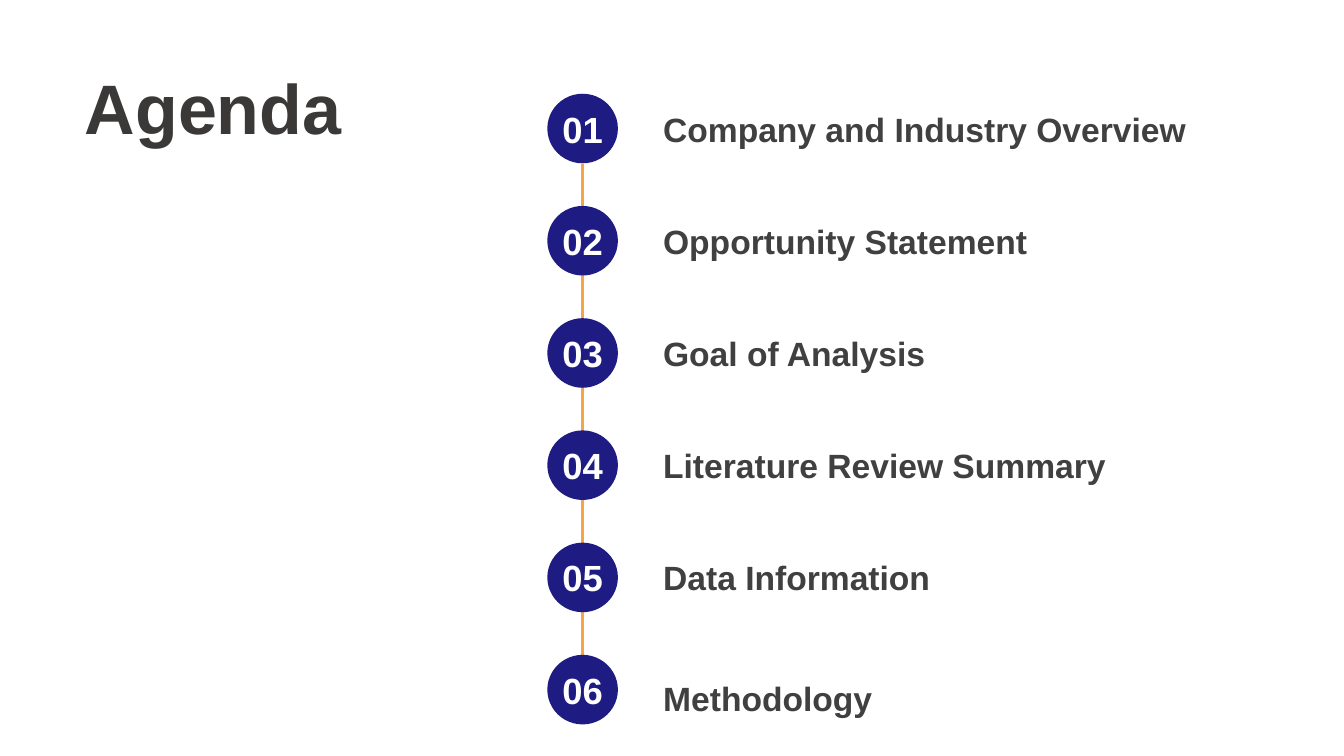
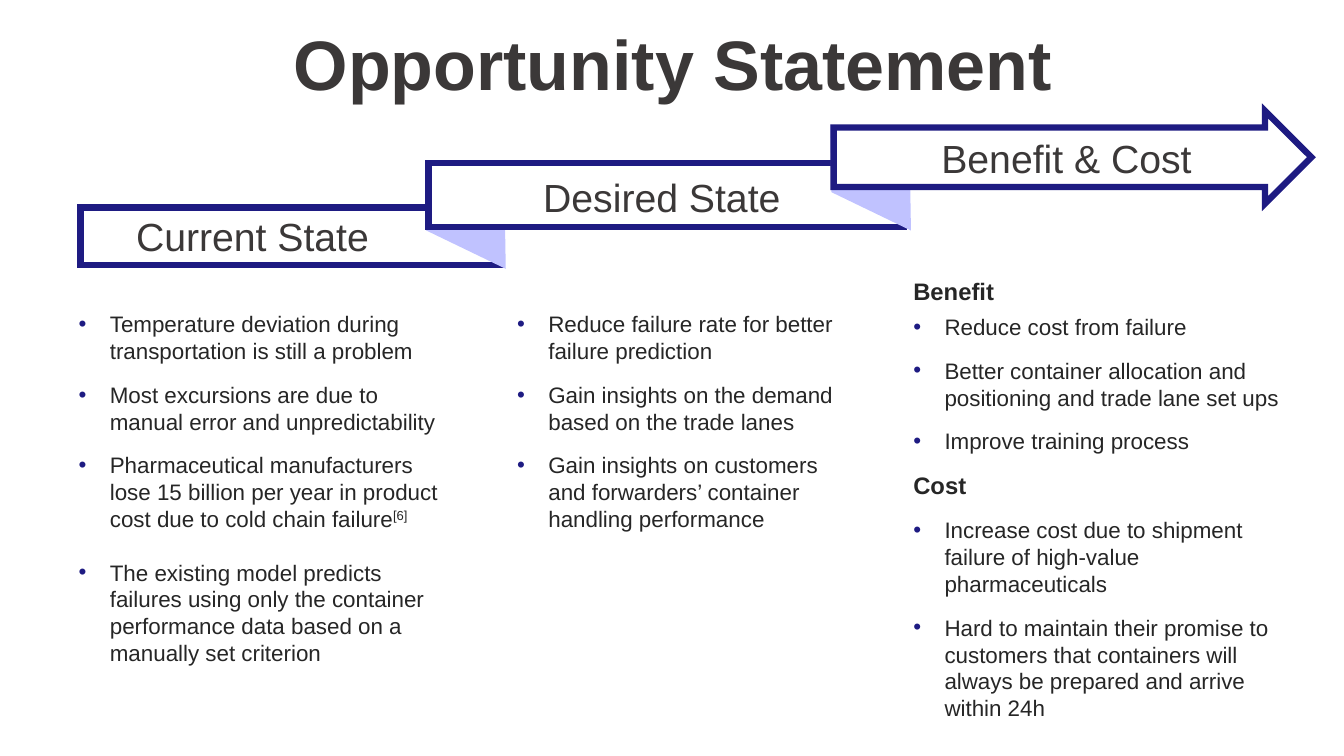
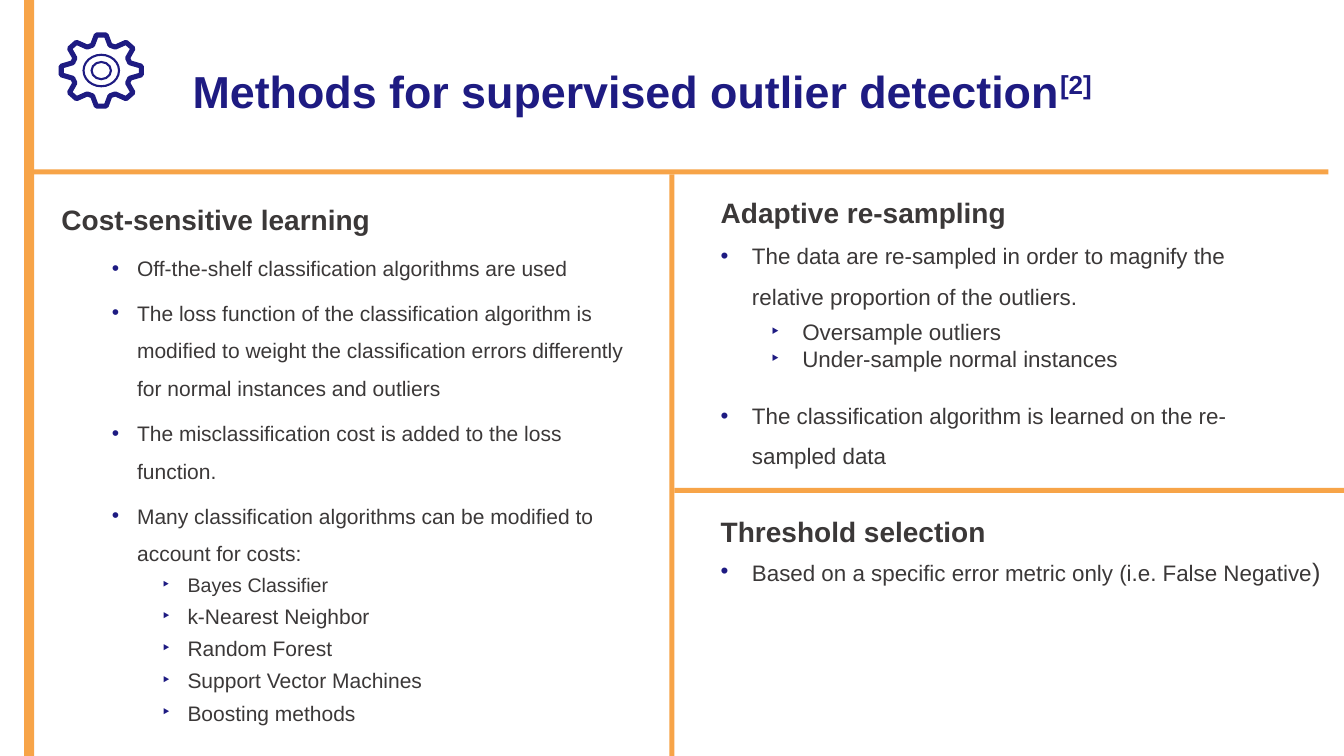
import math

import pptx
import pptx.util
import pptx.dml.color
import pptx.enum.shapes
import pptx.enum.text
import pptx.oxml
import pptx.oxml.ns

Pt = pptx.util.Pt
Inches = pptx.util.Inches
RGB = pptx.dml.color.RGBColor
Kind = pptx.enum.shapes.MSO_SHAPE
Align = pptx.enum.text.PP_ALIGN
Anchor = pptx.enum.text.MSO_ANCHOR

NAVY = RGB(0x1E, 0x1B, 0x82)
ORANGE = RGB(0xF7, 0xA4, 0x48)
LILAC = RGB(0xC0, 0xC2, 0xFF)
WHITE = RGB(0xFF, 0xFF, 0xFF)
DARK = RGB(0x3B, 0x38, 0x38)
GREY = RGB(0x40, 0x40, 0x40)
INK = RGB(0x26, 0x26, 0x26)

COLS, ROWS = 80, 45

PLAIN = {"size": 16, "bold": False, "color": DARK, "align": Align.LEFT, "before": 0,
         "after": 0, "line": 1, "level": 0, "left": 0, "hang": 0, "mark": None}
STYLES = {
    "title": {"size": 50, "bold": True},
    "label": {"size": 24, "bold": True, "color": GREY},
    "num": {"size": 26, "bold": True, "color": WHITE, "align": Align.CENTER},
    "step": {"size": 28, "align": Align.CENTER},
    "head": {"size": 20, "bold": True},
    "part": {"size": 17, "bold": True, "color": INK},
    "point": {"color": INK, "before": 12, "left": 0.31, "hang": 0.31, "mark": "•"},
    "dot": {"line": 1.5, "left": 0.31, "hang": 0.31, "mark": "•"},
    "inner": {"size": 15, "line": 1.5, "before": 5, "level": 1,
              "left": 0.75, "hang": 0.25, "mark": "•"},
    "sub": {"level": 1, "left": 0.81, "hang": 0.31, "mark": "‣"},
    "leaf": {"size": 15, "before": 5, "level": 2, "left": 1.25, "hang": 0.25, "mark": "‣"},
}


class Deck:
    def __init__(self):
        self.show = pptx.Presentation()
        self.show.slide_width = Inches(13.33)
        self.show.slide_height = Inches(7.5)

    def x(self, cols):
        return round(self.show.slide_width * cols / COLS)

    def y(self, rows):
        return round(self.show.slide_height * rows / ROWS)

    def area(self, box):
        left, top, width, height = box
        return self.x(left), self.y(top), self.x(width), self.y(height)

    def start(self, layout, lists=0):
        self.slide = self.show.slides.add_slide(self.show.slide_layouts[layout])
        bodies = [p for p in self.slide.placeholders if p.placeholder_format.idx]
        self.bodies = bodies[:lists]
        for spare in bodies[lists:]:
            spare.element.getparent().remove(spare.element)

    def put(self, frame, items, anchor=Anchor.TOP):
        frame.word_wrap = True
        frame.auto_size = pptx.enum.text.MSO_AUTO_SIZE.NONE
        frame.vertical_anchor = anchor
        for i, (style, text, *more) in enumerate(items):
            para = frame.add_paragraph() if i else frame.paragraphs[0]
            form = {**PLAIN, **STYLES[style], **(more[0] if more else {})}
            look = {"level": form["level"], "alignment": form["align"],
                    "space_before": Pt(form["before"]), "space_after": Pt(form["after"]),
                    "line_spacing": form["line"]}
            for key, value in look.items():
                setattr(para, key, value)
            self.bullet(para, form)
            for part, change in [(text, {})] if isinstance(text, str) else text:
                self.add(para, part, {**form, **change})

    def add(self, para, text, form):
        run = para.add_run()
        run.text = text
        look = {"name": "Arial", "size": Pt(form["size"]), "bold": form["bold"]}
        for key, value in look.items():
            setattr(run.font, key, value)
        run.font.color.rgb = form["color"]
        if "base" in form:
            run.font._element.set("baseline", str(form["base"] * 1000))

    def bullet(self, para, form):
        props = para._p.get_or_add_pPr()
        props.set("marL", str(Inches(form["left"])))
        props.set("indent", str(-Inches(form["hang"])))
        space = pptx.oxml.ns.nsdecls("a")
        tags = ["<a:buNone %s/>" % space]
        if form["mark"]:
            tags = ['<a:buClr %s><a:srgbClr val="%s"/></a:buClr>' % (space, NAVY),
                    '<a:buFont %s typeface="Arial"/>' % space,
                    '<a:buChar %s char="%s"/>' % (space, form["mark"])]
        for tag in tags:
            props.append(pptx.oxml.parse_xml(tag))

    def place(self, shape, box):
        for key, value in zip(("left", "top", "width", "height"), self.area(box)):
            setattr(shape, key, value)

    def title(self, box, text, anchor=Anchor.TOP, **form):
        shape = self.slide.shapes.title
        self.place(shape, box)
        self.put(shape.text_frame, [("title", text, form)], anchor)

    def body(self, box, items):
        shape = self.bodies.pop(0)
        self.place(shape, box)
        self.put(shape.text_frame, items)

    def text(self, box, style, words, anchor=Anchor.TOP):
        shape = self.slide.shapes.add_textbox(*self.area(box))
        self.put(shape.text_frame, [(style, words)], anchor)

    def paint(self, shape, fill, line, width, join="miter"):
        shape.shadow.inherit = False
        if fill is None:
            shape.fill.background()
        else:
            shape.fill.solid()
            shape.fill.fore_color.rgb = fill
        if line is None:
            shape.line.fill.background()
            return
        shape.line.color.rgb = line
        shape.line.width = Pt(width)
        space = pptx.oxml.ns.nsdecls("a")
        limit = ' lim="800000"' if join == "miter" else ""
        shape.line._get_or_add_ln().append(
            pptx.oxml.parse_xml("<a:%s %s%s/>" % (join, space, limit)))

    def shape(self, kind, box, fill=None, line=None, width=0):
        shape = self.slide.shapes.add_shape(kind, *self.area(box))
        self.paint(shape, fill, line, width)
        return shape

    def poly(self, points, fill, line, width, join="miter"):
        spots = [(self.x(a), self.y(b)) for a, b in points]
        build = self.slide.shapes.build_freeform(*spots[0])
        build.add_line_segments(spots[1:], close=True)
        self.paint(build.convert_to_shape(), fill, line, width, join)

    def line(self, start, end, color, width):
        link = self.slide.shapes.add_connector(
            pptx.enum.shapes.MSO_CONNECTOR.STRAIGHT,
            self.x(start[0]), self.y(start[1]), self.x(end[0]), self.y(end[1]))
        link.line.color.rgb = color
        link.line.width = Pt(width)
        link._element.spPr.append(
            pptx.oxml.parse_xml("<a:effectLst %s/>" % pptx.oxml.ns.nsdecls("a")))

    def gear(self, mid, wide, high):
        points = []
        for tooth in range(8):
            for turn, reach in ((-17, 0.74), (-7, 1), (7, 1), (17, 0.74)):
                angle = math.radians(45 * tooth + turn)
                points.append((mid[0] + wide * reach * math.cos(angle),
                               mid[1] + high * reach * math.sin(angle)))
        self.poly(points, None, NAVY, 3.6, "round")
        for part in (0.44, 0.24):
            a, b = wide * part, high * part
            self.shape(Kind.OVAL, (mid[0] - a, mid[1] - b, 2 * a, 2 * b), None, NAVY, 1.5)


def agenda(deck):
    deck.start(5)
    deck.title((4.44, 3.54, 22.92, 5.64), "Agenda", Anchor.MIDDLE)
    deck.line((34.68, 9.78), (34.68, 41.58), ORANGE, 2.25)
    names = ["Company and Industry Overview", "Opportunity Statement", "Goal of Analysis",
             "Literature Review Summary", "Data Information", "Methodology"]
    for i, name in enumerate(names):
        top = 5.58 + 6.68 * i
        disc = deck.shape(Kind.OVAL, (32.58, top, 4.2, 4.14), NAVY)
        frame = disc.text_frame
        for side in ("left", "right", "top", "bottom"):
            setattr(frame, "margin_" + side, 0)
        deck.put(frame, [("num", f"{i + 1:02}")], Anchor.MIDDLE)
        drop = 0.5 if name == names[-1] else 0
        deck.text((38.88, top + 0.58 + drop, 34.14, 3), "label", name, Anchor.MIDDLE)


def chance(deck):
    deck.start(4, 3)
    deck.title((2.1, 1.5, 75.96, 4.74), "Opportunity Statement",
               align=Align.CENTER, line=0.9, before=10)

    def fold(left, top):
        spots = ((0, 0), (4.23, 2.04), (4.29, 5.52), (0.06, 3.48))
        deck.poly([(left + a, top + b) for a, b in spots], LILAC, LILAC, 6)

    edge = (WHITE, NAVY, 4.5)
    deck.shape(Kind.RECTANGLE, (4.8, 12.36, 25.02, 3.42), *edge)
    fold(25.56, 10.08)
    deck.shape(Kind.RECTANGLE, (25.5, 9.72, 28.32, 3.78), *edge)
    fold(49.68, 7.8)
    arrow = deck.shape(Kind.RIGHT_ARROW, (49.62, 6.6, 28.44, 5.52), *edge)
    arrow.adjustments[0] = 0.64
    arrow.adjustments[1] = 0.5
    for left, top, width, name in ((3.96, 12.36, 22.14, "Current State"),
                                   (30.24, 10.02, 18.3, "Desired State"),
                                   (51.9, 7.68, 23.16, "Benefit & Cost")):
        deck.text((left, top, width, 3.42), "step", name)

    first = {"before": 0}
    deck.body((4.08, 18.18, 23.58, 25.26), [
        ("point", "Temperature deviation during transportation is still a problem", first),
        ("point", "Most excursions are due to manual error and unpredictability"),
        ("point", [("Pharmaceutical manufacturers lose 15 billion per year in product "
                    "cost due to cold chain failure", {}), ("[6]", {"base": 30})]),
        ("point", "The existing model predicts failures using only the container "
                  "performance data based on a manually set criterion", {"before": 19}),
    ])
    deck.body((30.18, 18.18, 20.76, 17.16), [
        ("point", "Reduce failure rate for better failure prediction", first),
        ("point", "Gain insights on the demand based on the trade lanes"),
        ("point", "Gain insights on customers and forwarders’ container handling performance"),
    ])
    deck.body((53.76, 16.14, 24.3, 27.36), [
        ("part", "Benefit"),
        ("point", "Reduce cost from failure", {"before": 6}),
        ("point", "Better container allocation and positioning and trade lane set ups"),
        ("point", "Improve training process"),
        ("part", "Cost", {"before": 12}),
        ("point", "Increase cost due to shipment failure of high-value pharmaceuticals"),
        ("point", "Hard to maintain their promise to customers that containers will "
                  "always be prepared and arrive within 24h"),
    ])


def methods(deck):
    deck.start(4, 3)
    deck.title((10.86, 3.48, 65.64, 3.84),
               [("Methods for supervised outlier detection", {}), ("[2]", {"base": 30})],
               size=32, color=NAVY)
    for bar in ((1.44, 0, 0.6, 45), (1.44, 10.08, 77.64, 0.3),
                (39.84, 10.38, 0.3, 34.62), (40.14, 29.04, 39.86, 0.3)):
        deck.shape(Kind.RECTANGLE, bar, ORANGE)
    deck.gear((6.03, 4.2), 2.4, 2.13)
    deck.body((3.06, 10.74, 36, 28.86), [
        ("head", "Cost-sensitive learning", {"line": 1.5, "before": 10}),
        ("inner", "Off-the-shelf classification algorithms are used"),
        ("inner", "The loss function of the classification algorithm is modified to weight "
                  "the classification errors differently for normal instances and outliers"),
        ("inner", "The misclassification cost is added to the loss function."),
        ("inner", "Many classification algorithms can be modified to account for costs:"),
        ("leaf", "Bayes Classifier", {"size": 14}),
        ("leaf", "k-Nearest Neighbor"),
        ("leaf", "Random Forest"),
        ("leaf", "Support Vector Machines"),
        ("leaf", "Boosting methods"),
    ])
    deck.body((42.3, 11.34, 35.34, 16.74), [
        ("head", "Adaptive re-sampling"),
        ("dot", "The data are re-sampled in order to magnify the relative proportion "
                "of the outliers."),
        ("sub", "Oversample outliers", {"before": 6}),
        ("sub", "Under-sample normal instances"),
        ("dot", "The classification algorithm is learned on the re-sampled data",
         {"before": 12}),
    ])
    deck.body((42.3, 30.3, 37.6, 4.92), [
        ("head", "Threshold selection", {"after": 6}),
        ("dot", [("Based on a specific error metric only (i.e. False Negative", {}),
                 (")", {"size": 18})], {"line": 1, "after": 6}),
    ])


def main():
    deck = Deck()
    for make in (agenda, chance, methods):
        make(deck)
    deck.show.save("out.pptx")


if __name__ == "__main__":
    main()
